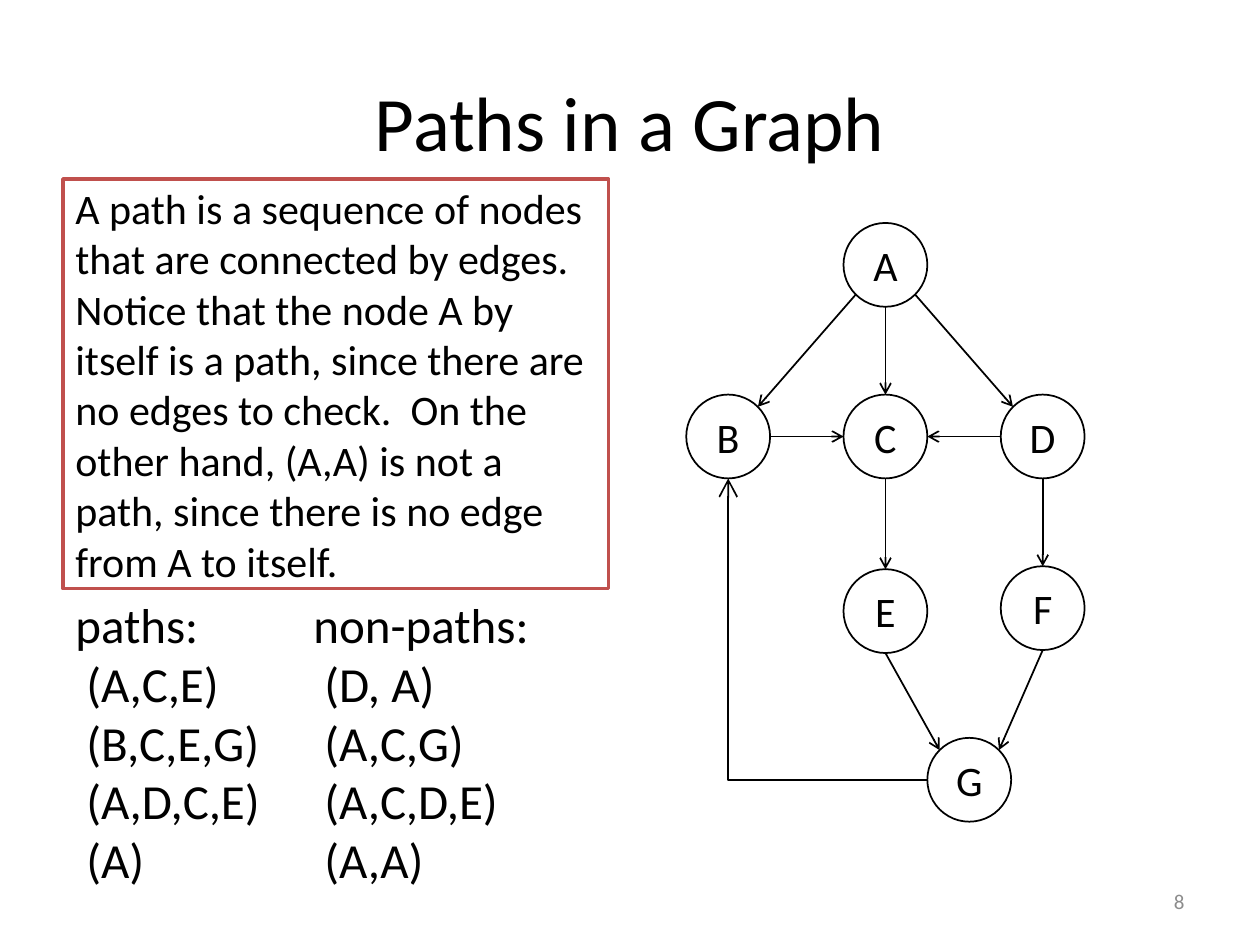
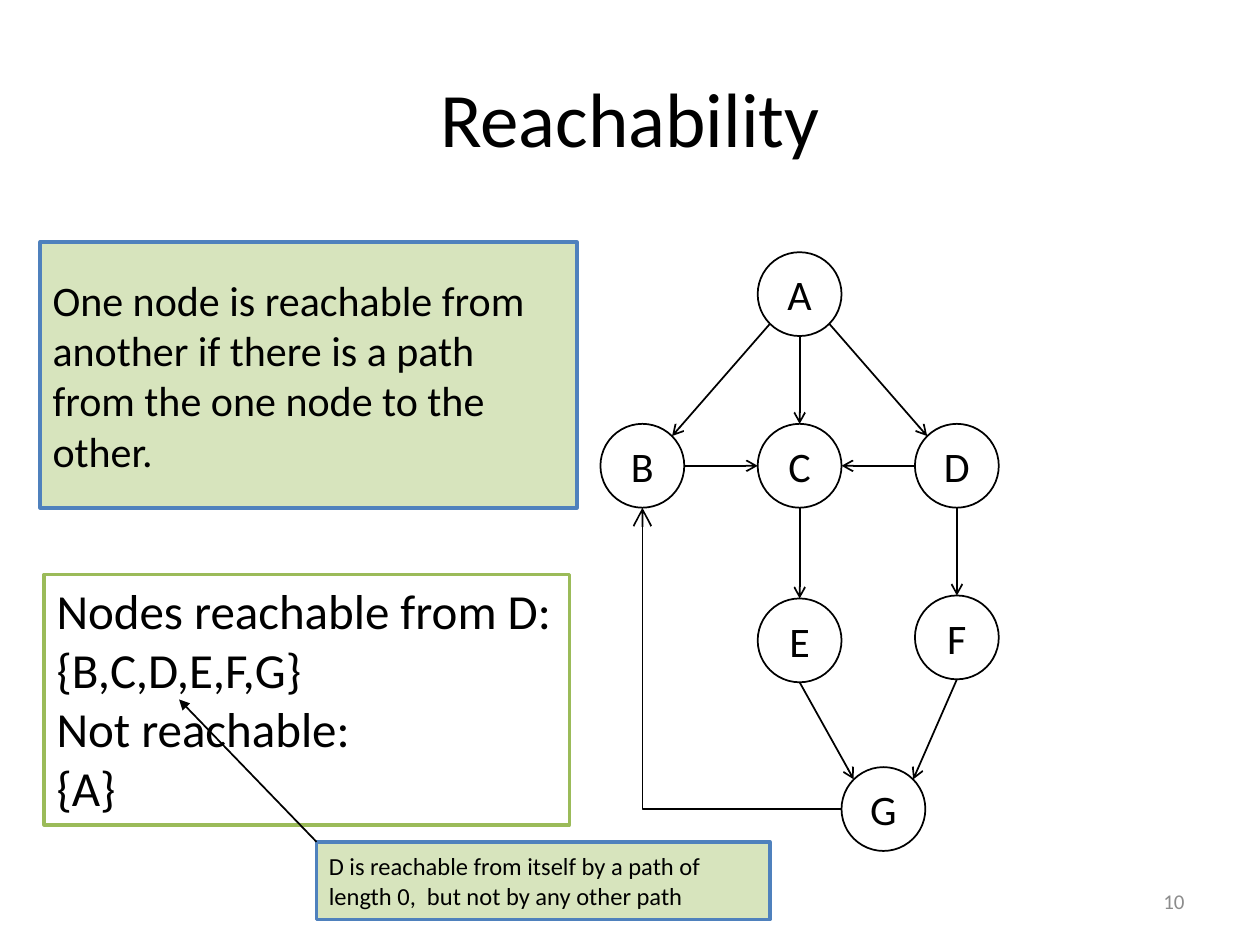
from lxml.etree import SubElement
from pptx import Presentation
from pptx.dml.color import RGBColor
from pptx.enum.shapes import MSO_CONNECTOR as Link, MSO_SHAPE as Kind
from pptx.enum.text import MSO_ANCHOR as Anchor, MSO_AUTO_SIZE as Fit, PP_ALIGN as Align
from pptx.oxml.ns import qn
from pptx.util import Cm, Pt

# Shared look
FONT = "Calibri"
BLACK, WHITE, GREY = "000000", "FFFFFF", "8C8C8C"
RED, GREEN, BLUE, PALE = "C0504D", "9BBB59", "4F81BD", "D7E4BD"
PAGE = (18.21, 17.65, 5.92, 1.02)
INDENT = 0.22

# The graph: node centres measured from node A, in cm
SIZE = 1.69
COL, ROW = 3.17, 3.46
NODES = {
    "A": (0, 0),
    "B": (-COL, ROW), "C": (0, ROW), "D": (COL, ROW),
    "E": (0, 6.98), "F": (COL, 6.92),
    "G": (SIZE, 10.38),
}
DIAG = 0.71
SIDES = {
    "top": (0, -1), "low": (0, 1), "left": (-1, 0), "right": (1, 0),
    "nw": (-DIAG, -DIAG), "ne": (DIAG, -DIAG),
    "sw": (-DIAG, DIAG), "se": (DIAG, DIAG),
}
EDGES = [
    ("A", "sw", "B", "ne"), ("A", "se", "D", "nw"), ("A", "low", "C", "top"),
    ("B", "right", "C", "left"), ("D", "left", "C", "right"),
    ("C", "low", "E", "top"), ("D", "low", "F", "top"),
    ("E", "low", "G", "nw"), ("F", "low", "G", "ne"),
]

# Slide content
SLIDES = [
    {
        "title": "Paths in a Graph", "top": 0.84, "page": "8",
        "root": (17.85, 5.34),
        "boxes": [
            {"at": (1.27, 11.86, 4.27, 6.25), "size": 28, "list": True, "indent": True,
             "text": ["paths:", "(A,C,E)", "(B,C,E,G)", "(A,D,C,E)", "(A)"]},
            {"at": (6.07, 11.86, 4.9, 6.25), "size": 28, "list": True, "indent": True,
             "text": ["non-paths:", "(D, A)", "(A,C,G)", "(A,C,D,E)", "(A,A)"]},
            {"at": (1.27, 3.61, 11, 8.26), "size": 24, "fill": WHITE, "line": RED,
             "text": ["A path is a sequence of nodes that are connected by edges.  "
                      "Notice that the node A by itself is a path, since there are "
                      "no edges to check.  On the other hand, (A,A) is not a path, "
                      "since there is no edge from A to itself."]},
        ],
    },
    {
        "title": "Reachability", "top": 0.76, "page": "10",
        "root": (16.12, 5.93),
        "boxes": [
            {"at": (0.89, 11.58, 10.59, 5.05), "size": 28, "list": True,
             "fill": WHITE, "line": GREEN,
             "text": ["Nodes reachable from D:", "{B,C,D,E,F,G}",
                      "Not reachable:", "{A}"]},
            {"at": (0.81, 4.88, 10.82, 5.36), "size": 24, "fill": PALE, "line": BLUE,
             "text": ["One node is reachable from another if there is a path "
                      "from the one node to the other."]},
            {"at": (6.38, 16.97, 9.14, 1.57), "size": 14, "fill": PALE, "line": BLUE,
             "text": ["D is reachable from itself by a path of length 0,  "
                      "but not by any other path"]},
        ],
        "hint": ((6.38, 16.97), (3.61, 14.1)),
    },
]


def color(code):
    return RGBColor.from_string(code)


def cms(*vals):
    return [Cm(v) for v in vals]


def write(frame, lines, size, tint=BLACK, align=Align.LEFT, anchor=Anchor.MIDDLE):
    frame.word_wrap = True
    frame.vertical_anchor = anchor
    for i, line in enumerate(lines):
        para = frame.paragraphs[0] if i == 0 else frame.add_paragraph()
        para.alignment = align
        run = para.add_run()
        run.text = line
        run.font.name = FONT
        run.font.size = Pt(size)
        run.font.color.rgb = color(tint)


def panel(shapes, kind, at, fill, line, width):
    shape = shapes.add_shape(kind, *cms(*at))
    shape.shadow.inherit = False
    shape.fill.solid()
    shape.fill.fore_color.rgb = color(fill)
    shape.line.color.rgb = color(line)
    shape.line.width = Pt(width)
    return shape


def arrow(shapes, start, end, head="arrow", size="med", kind=Link.STRAIGHT):
    link = shapes.add_connector(kind, *cms(*start, *end))
    link.line.color.rgb = color(BLACK)
    link.line.width = Pt(1)
    props = link._element.spPr
    SubElement(props.find(qn("a:ln")), qn("a:tailEnd"), type=head, w=size, len=size)
    SubElement(props, qn("a:effectLst"))
    return link


def graph(slide, root):
    group = slide.shapes.add_group_shape().shapes
    spots = {name: (root[0] + x, root[1] + y) for name, (x, y) in NODES.items()}
    half = SIZE / 2

    def port(name, side):
        return [c + half * d for c, d in zip(spots[name], SIDES[side])]

    for name, (x, y) in spots.items():
        node = panel(group, Kind.OVAL, (x - half, y - half, SIZE, SIZE), WHITE, BLACK, 1)
        write(node.text_frame, [name], 24, align=Align.CENTER)
    for src, out, dest, into in EDGES:
        arrow(group, port(src, out), port(dest, into))

    # One-corner edge from G back to B: half a turn makes it leave G leftward
    back = arrow(group, port("B", "low"), port("G", "left"), size="lg", kind=Link.ELBOW)
    props = back._element.spPr
    props.find(qn("a:xfrm")).set("rot", "10800000")
    props.find(qn("a:prstGeom")).set("prst", "bentConnector2")


def box(slide, item):
    if "fill" in item:
        shape = panel(slide.shapes, Kind.RECTANGLE, item["at"], item["fill"], item["line"], 2)
    else:
        shape = slide.shapes.add_textbox(*cms(*item["at"]))
    frame = shape.text_frame
    rows = item.get("list")
    write(frame, item["text"], item["size"], anchor=Anchor.TOP if rows else Anchor.MIDDLE)
    if rows:
        frame.word_wrap = False
        frame.auto_size = Fit.SHAPE_TO_FIT_TEXT
    if item.get("indent"):
        for para in frame.paragraphs[1:]:
            para._p.get_or_add_pPr().set("marL", str(Cm(INDENT)))


def build(deck, data):
    slide = deck.slides.add_slide(deck.slide_layouts[5])
    title = slide.shapes.title
    title.left, title.top, title.width, title.height = cms(1.27, data["top"], 22.86, 3.17)
    write(title.text_frame, [data["title"]], 44, align=Align.CENTER)

    graph(slide, data["root"])
    for item in data["boxes"]:
        box(slide, item)
    if "hint" in data:
        arrow(slide.shapes, *data["hint"], head="triangle")

    # Page number
    page = slide.shapes.add_textbox(*cms(*PAGE))
    write(page.text_frame, [data["page"]], 12, GREY, Align.RIGHT)


def main():
    deck = Presentation()
    deck.slide_width, deck.slide_height = cms(25.4, 19.05)
    for data in SLIDES:
        build(deck, data)
    deck.save("out.pptx")


if __name__ == "__main__":
    main()
